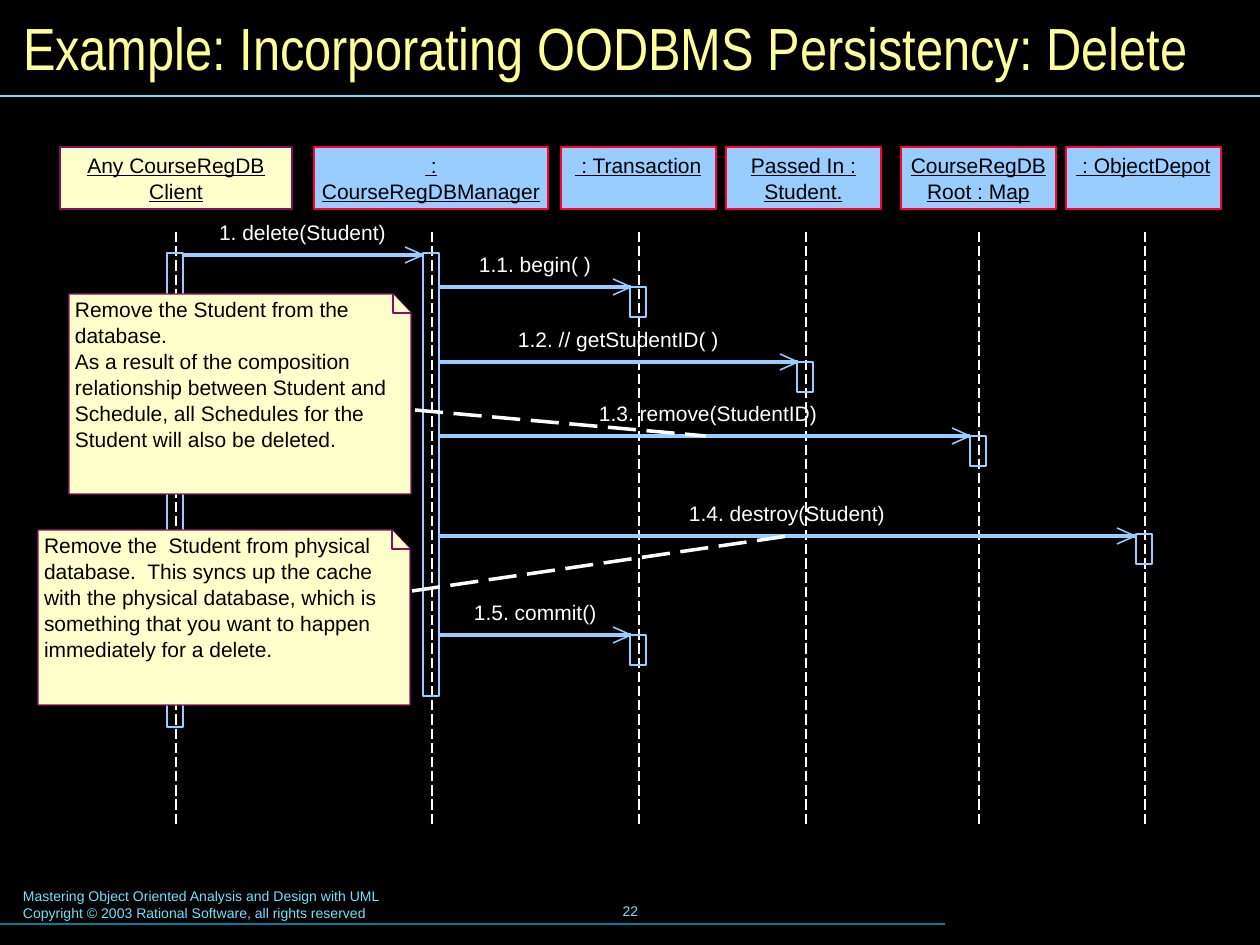
from dataclasses import dataclass

import lxml.etree
import pptx
import pptx.dml.color
import pptx.enum.dml
import pptx.enum.shapes
import pptx.enum.text
import pptx.oxml.ns
import pptx.util

RGB = pptx.dml.color.RGBColor
ALIGN = pptx.enum.text.PP_ALIGN
ANCHOR = pptx.enum.text.MSO_ANCHOR

EMU_PER_PX = 914400 / 126
SLIDE_W, SLIDE_H = 1260, 945

BLACK = RGB(0x00, 0x00, 0x00)
WHITE = RGB(0xFF, 0xFF, 0xFF)
CYAN = RGB(0x73, 0xE1, 0xFF)
TEAL = RGB(0x00, 0x7E, 0x9F)
YELLOW = RGB(0xFF, 0xFF, 0x99)
CREAM = RGB(0xFF, 0xFF, 0xCC)
SKY = RGB(0x99, 0xCC, 0xFF)
RED = RGB(0xFF, 0x00, 0x33)
PLUM = RGB(0x8A, 0x0E, 0x5E)

HEADER_TOP, HEADER_H = 147, 62
LIFELINE_TOP, LIFELINE_BOTTOM = 232, 825
BAR_W, BAR_OFFSET, CALL_H = 16, 9, 30
HEAD_LENGTH, HEAD_RISE = 18, 8
LABEL_RISE = 35
FOLD_W, FOLD_H = 18, 19
LINE_PITCH = 14.8


@dataclass
class Participant:
    title: str
    left: int
    width: int
    lifeline: int
    bars: list[tuple[int, int]]  # (top, height)
    fill: RGB = SKY
    border: RGB = RED


@dataclass
class Message:
    label: str
    label_left: int
    start: int
    end: int
    y: int


@dataclass
class Note:
    text: str
    left: int
    top: int
    width: int
    height: int
    anchor_start: tuple[int, int]
    anchor_end: tuple[int, int]


PARTICIPANTS = [
    Participant("Any CourseRegDB\nClient", 60, 232, 176, [(253, 474)], CREAM, PLUM),
    Participant(" :\nCourseRegDBManager", 314, 234, 432, [(253, 443)]),
    Participant(" : Transaction", 561, 155, 639, [(287, CALL_H), (635, CALL_H)]),
    Participant("Passed In :\nStudent.", 726, 155, 806, [(362, CALL_H)]),
    Participant("CourseRegDB\nRoot : Map", 901, 155, 979, [(436, CALL_H)]),
    Participant(" : ObjectDepot", 1066, 155, 1145, [(534, CALL_H)]),
]

MESSAGES = [
    Message("1. delete(Student)", 219, 183, 423, 255),
    Message("1.1. begin( )", 479, 440, 631, 287),
    Message("1.2. // getStudentID( )", 518, 440, 798, 362),
    Message("1.3. remove(StudentID)", 599, 440, 970, 436),
    Message("1.4. destroy(Student)", 689, 440, 1135, 536),
    Message("1.5. commit()", 474, 440, 631, 635),
]

NOTES = [
    Note("Remove the Student from the database.\n"
         "As a result of the composition relationship between Student and Schedule, "
         "all Schedules for the Student will also be deleted.",
         69, 294, 342, 200, (415, 410), (706, 436)),
    Note("Remove the  Student from physical database.  This syncs up the cache "
         "with the physical database, which is something that you want to happen "
         "immediately for a delete.",
         38, 530, 372, 175, (412, 591), (788, 536)),
]


def emu(px: int) -> int:
    return round(px * EMU_PER_PX)


def write(shape, text: str, *, size=12, color=BLACK, font="Arial", align=ALIGN.LEFT,
          anchor=ANCHOR.TOP, wrap=True, underline=False, pitch=None, margins=(0, 0)) -> None:
    """Fill a shape with text; margins are horizontal and vertical px."""
    frame = shape.text_frame
    frame.text = text
    frame.word_wrap = wrap
    frame.vertical_anchor = anchor
    frame.margin_left = frame.margin_right = emu(margins[0])
    frame.margin_top = frame.margin_bottom = emu(margins[1])
    for paragraph in frame.paragraphs:
        paragraph.alignment = align
        if pitch:
            paragraph.line_spacing = pptx.util.Pt(pitch)
        for run in paragraph.runs:
            run.font.name = font
            run.font.size = pptx.util.Pt(size)
            run.font.color.rgb = color
            run.font.underline = underline


def add_text(slide, left: int, top: int, width: int, height: int, text: str, **style) -> None:
    box = slide.shapes.add_textbox(emu(left), emu(top), emu(width), emu(height))
    write(box, text, **style)


def add_line(slide, start: tuple[int, int], end: tuple[int, int], color: RGB,
             weight: float = 0, dashed: bool = False) -> None:
    line = slide.shapes.add_connector(pptx.enum.shapes.MSO_CONNECTOR.STRAIGHT,
                                      *map(emu, start + end))
    line.line.color.rgb = color
    line.line.width = pptx.util.Pt(weight)
    if dashed:
        line.line.dash_style = pptx.enum.dml.MSO_LINE.LONG_DASH
    lxml.etree.SubElement(line._element.spPr, pptx.oxml.ns.qn("a:effectLst"))


def paint(shape, fill: RGB | None, border: RGB) -> None:
    shape.shadow.inherit = False
    if fill is None:
        shape.fill.background()
    else:
        shape.fill.solid()
        shape.fill.fore_color.rgb = fill
    shape.line.color.rgb = border
    shape.line.width = 0


def add_rect(slide, left: int, top: int, width: int, height: int, fill: RGB | None, border: RGB):
    rect = slide.shapes.add_shape(pptx.enum.shapes.MSO_SHAPE.RECTANGLE,
                                  *map(emu, (left, top, width, height)))
    paint(rect, fill, border)
    return rect


def add_outline(slide, points: list[tuple[int, int]], closed: bool) -> None:
    builder = slide.shapes.build_freeform(*points[0], scale=EMU_PER_PX)
    builder.add_line_segments(points[1:], close=closed)
    paint(builder.convert_to_shape(), CREAM, PLUM)


def draw_participant(slide, item: Participant) -> None:
    header = add_rect(slide, item.left, HEADER_TOP, item.width, HEADER_H, item.fill, item.border)
    write(header, item.title, align=ALIGN.CENTER, wrap=False, underline=True,
          pitch=LINE_PITCH, margins=(0, 5))
    add_line(slide, (item.lifeline, LIFELINE_TOP), (item.lifeline, LIFELINE_BOTTOM),
             WHITE, 0.75, dashed=True)
    for top, height in item.bars:
        add_rect(slide, item.lifeline - BAR_OFFSET, top, BAR_W, height, None, SKY)


def draw_message(slide, item: Message) -> None:
    tip = (item.end, item.y)
    add_line(slide, (item.start, item.y), tip, SKY)
    for rise in (HEAD_RISE, -HEAD_RISE):
        add_line(slide, tip, (item.end - HEAD_LENGTH, item.y + rise), SKY, 0.88)
    add_text(slide, item.label_left, item.y - LABEL_RISE, 220, 25, item.label,
             color=WHITE, wrap=False)


def draw_note(slide, item: Note) -> None:
    right, bottom = item.left + item.width, item.top + item.height
    fold_left, fold_bottom = right - FOLD_W, item.top + FOLD_H
    add_outline(slide, [(item.left, item.top), (fold_left, item.top), (right, fold_bottom),
                        (right, bottom), (item.left, bottom)], closed=True)
    add_outline(slide, [(fold_left, item.top), (fold_left, fold_bottom), (right, fold_bottom)],
                closed=False)
    add_text(slide, item.left + 6, item.top + 2, item.width - 14, item.height - 20, item.text,
             pitch=LINE_PITCH)
    add_line(slide, item.anchor_start, item.anchor_end, WHITE, dashed=True)


def main() -> None:
    deck = pptx.Presentation()
    deck.slide_width, deck.slide_height = emu(SLIDE_W), emu(SLIDE_H)
    slide = deck.slides.add_slide(deck.slide_layouts[6])
    slide.background.fill.solid()
    slide.background.fill.fore_color.rgb = BLACK

    add_text(slide, 10, 882, 643, 47,
             "Mastering Object Oriented Analysis and Design with UML\n"
             "Copyright © 2003 Rational Software, all rights reserved",
             size=8, color=CYAN, margins=(13, 6))
    add_text(slide, 431, 879, 399, 63, "22", size=8, color=CYAN, align=ALIGN.CENTER,
             anchor=ANCHOR.MIDDLE, margins=(13, 6))
    add_line(slide, (0, 924), (945, 924), TEAL, 0.75)
    add_line(slide, (0, 96), (SLIDE_W, 96), CYAN, 0.75)
    add_text(slide, 10, 10, 1240, 73, "Example: Incorporating OODBMS Persistency: Delete",
             size=34, color=YELLOW, font="Arial Narrow", anchor=ANCHOR.MIDDLE, margins=(13, 6))

    for participant in PARTICIPANTS:
        draw_participant(slide, participant)
    for message in MESSAGES:
        draw_message(slide, message)
    for note in NOTES:
        draw_note(slide, note)
    deck.save("out.pptx")


if __name__ == "__main__":
    main()
